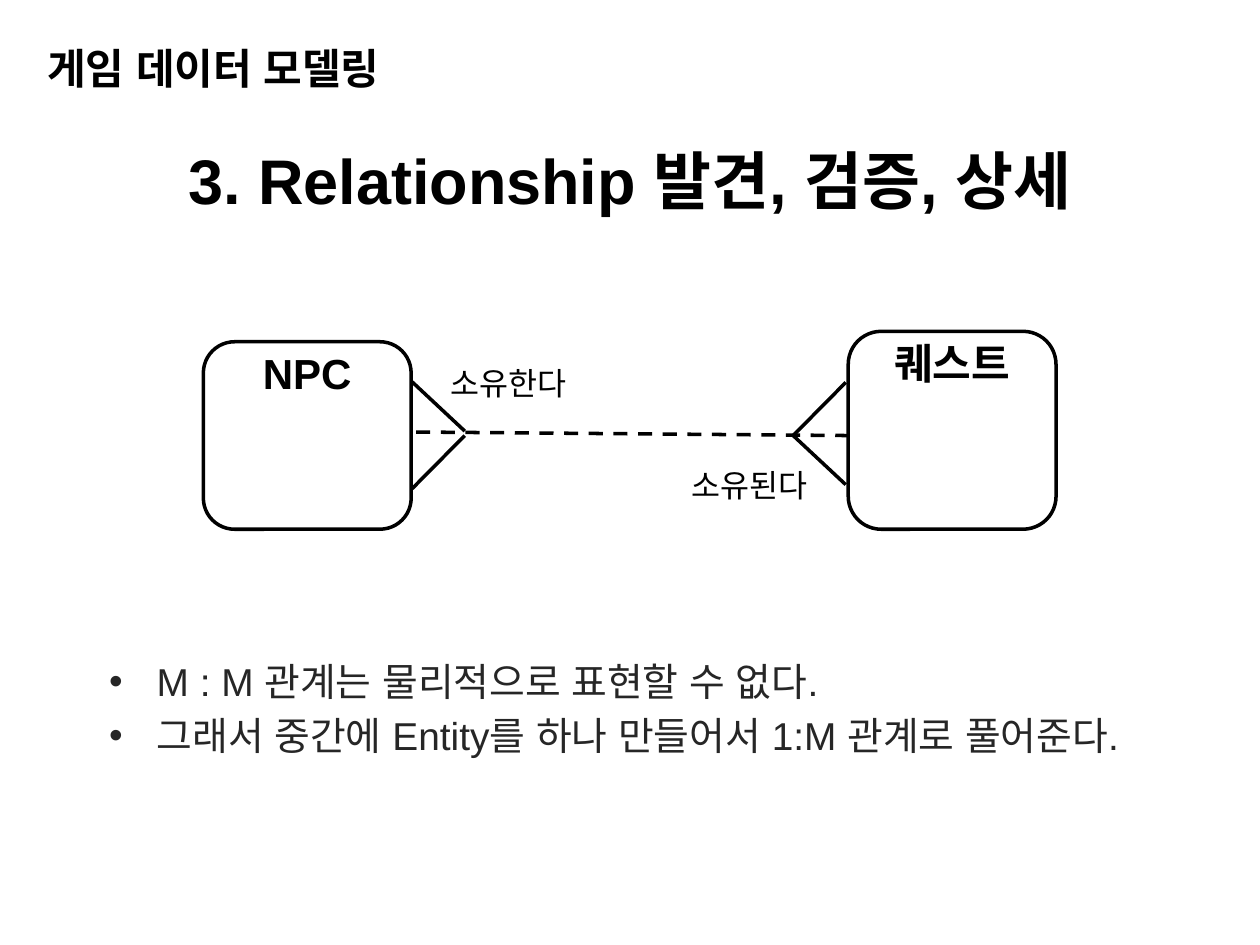
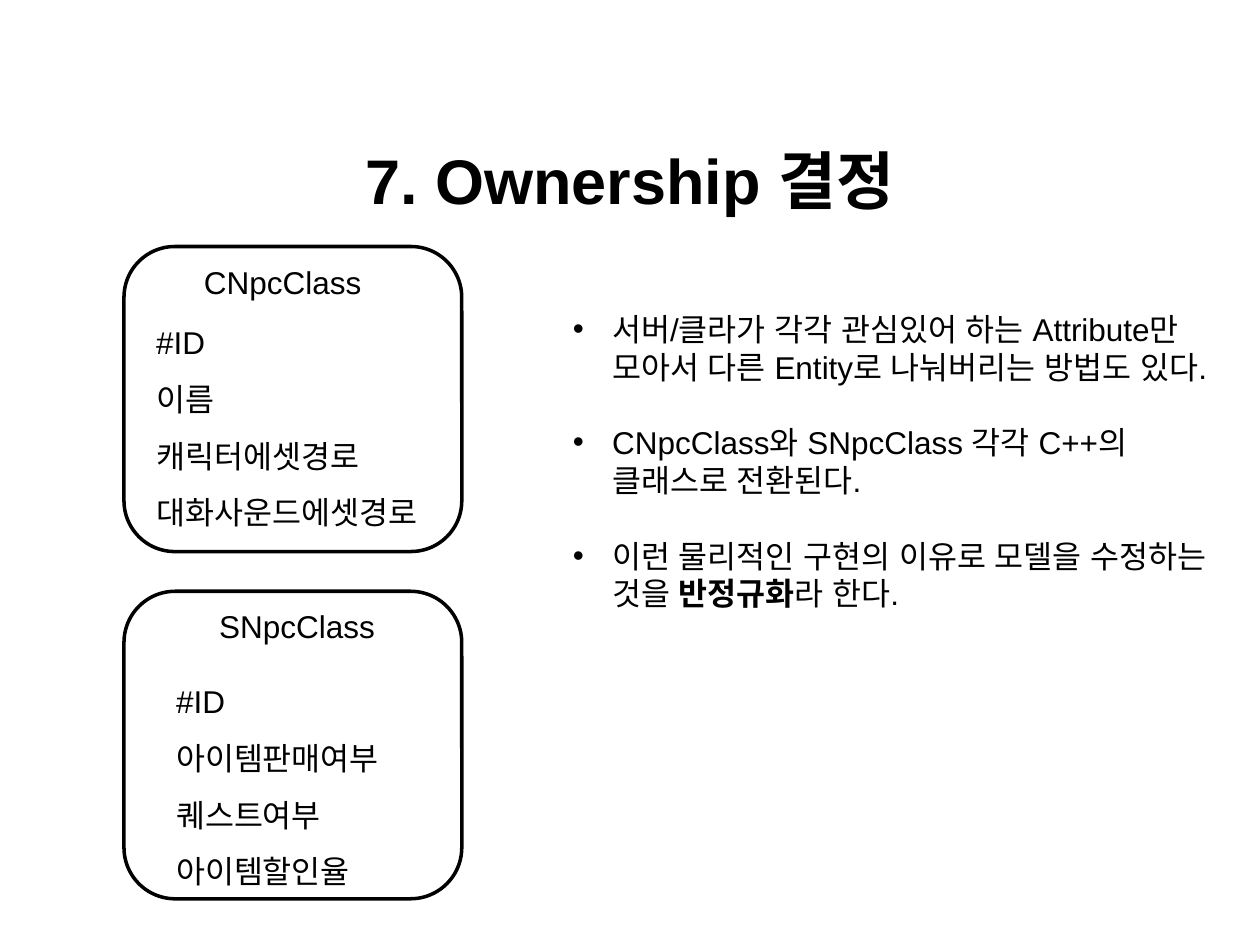
from lxml.etree import SubElement
from pptx import Presentation
from pptx.dml.color import RGBColor
from pptx.enum.dml import MSO_LINE
from pptx.enum.shapes import MSO_CONNECTOR, MSO_SHAPE
from pptx.enum.text import MSO_ANCHOR, PP_ALIGN
from pptx.oxml.ns import qn
from pptx.util import Cm, Pt

# Shared look
FONT = "Arial"
BLACK, DARK_GREY = "000000", "262626"
LINE_WIDTH = Pt(2)
TITLE_BOX = (0, 2.11, 25.4, 3)
TITLE_ONLY = 5


def paint(color_format, hex_color):
    color_format.rgb = RGBColor.from_string(hex_color)


def cm_box(box):
    return [Cm(length) for length in box]


def format_runs(paragraph, size, bold=False, color=BLACK):
    for run in paragraph.runs:
        run.font.size = Pt(size)
        run.font.bold = bold
        paint(run.font.color, color)
        run.font.name = FONT
        # Korean text takes its spaces from this font too
        SubElement(run._r.get_or_add_rPr(), qn("a:ea")).set("typeface", FONT)


def add_text(slide, box, lines, size, bold=False, color=BLACK,
             align=PP_ALIGN.LEFT, spacing=None, gap=0, bullet_indent=None):
    """Write one paragraph per line; gap is the space between paragraphs in points."""
    frame = slide.shapes.add_textbox(*cm_box(box)).text_frame
    frame.word_wrap = True
    for index, line in enumerate(lines):
        paragraph = frame.add_paragraph() if index else frame.paragraphs[0]
        paragraph.text = line
        if bullet_indent:
            add_bullet(paragraph, bullet_indent)
        paragraph.alignment = align
        if spacing:
            paragraph.line_spacing = spacing
        if index and gap:
            paragraph.space_before = Pt(gap)
        format_runs(paragraph, size, bold, color)
    return frame


def add_bullet(paragraph, indent):
    properties = paragraph._p.get_or_add_pPr()
    properties.set("marL", str(Cm(indent)))
    properties.set("indent", str(-Cm(indent)))
    SubElement(properties, qn("a:buFont")).set("typeface", FONT)
    SubElement(properties, qn("a:buChar")).set("char", "•")


def add_rounded_box(slide, box):
    outline = slide.shapes.add_shape(MSO_SHAPE.ROUNDED_RECTANGLE, *cm_box(box))
    outline.shadow.inherit = False
    outline.fill.background()
    paint(outline.line.color, BLACK)
    outline.line.width = LINE_WIDTH


def add_line(slide, start, end, dashed=False):
    line = slide.shapes.add_connector(MSO_CONNECTOR.STRAIGHT, *cm_box(start + end))
    SubElement(line._element.spPr, qn("a:effectLst"))
    paint(line.line.color, BLACK)
    line.line.width = LINE_WIDTH
    if dashed:
        line.line.dash_style = MSO_LINE.DASH


def add_titled_slide(deck, heading):
    slide = deck.slides.add_slide(deck.slide_layouts[TITLE_ONLY])
    title = slide.shapes.title
    title.left, title.top, title.width, title.height = cm_box(TITLE_BOX)
    title.text_frame.text = heading
    title.text_frame.vertical_anchor = MSO_ANCHOR.MIDDLE
    title.text_frame.paragraphs[0].alignment = PP_ALIGN.CENTER
    format_runs(title.text_frame.paragraphs[0], 36, bold=True)
    return slide


# Relationship diagram
def add_entity(slide, box, name):
    left, top, width, _ = box
    add_rounded_box(slide, box)
    add_text(slide, (left, top, width, 1.27), [name], 24, bold=True,
             align=PP_ALIGN.CENTER)


def add_crow_foot(slide, edge_x, tip_x, upper, lower):
    """Draw both toes; upper and lower give the heights at the edge and at the tip."""
    for edge_y, tip_y in (upper, lower):
        add_line(slide, (edge_x, edge_y), (tip_x, tip_y))


def add_relationship(slide, box):
    left, top, width, height = box
    entity_width, foot = 4.19, 1.06
    npc_right, quest_left = left + entity_width, left + width - entity_width
    axis = top + 2.1
    add_entity(slide, (left, top + 0.21, entity_width, height - 0.21), "NPC")
    add_entity(slide, (quest_left, top, entity_width, height), "퀘스트")
    add_crow_foot(slide, npc_right + 0.02, npc_right + 0.02 + foot,
                  (axis - 1.08, axis - 0.09), (axis + 1.07, axis))
    add_crow_foot(slide, quest_left - 0.05, quest_left - 0.05 - foot,
                  (axis - 1.07, axis), (axis + 0.99, axis))
    add_line(slide, (npc_right + 0.1, axis - 0.07), (quest_left, axis), dashed=True)
    add_text(slide, (npc_right + 0.55, top + 0.53, 3.68, 1.02), ["소유한다"], 18)
    add_text(slide, (quest_left - 3.41, top + 2.59, 3.2, 1.02), ["소유된다"], 18)


def build_relationship_slide(deck):
    slide = add_titled_slide(deck, "3. Relationship 발견, 검증, 상세")
    add_text(slide, (0.7, 0.73, 11.6, 1.4), ["게임 데이터 모델링"], 24, bold=True)
    add_relationship(slide, (4.1, 6.68, 17.19, 3.99))
    add_text(slide, (1.95, 13.13, 21.74, 3.2),
             ["M : M 관계는 물리적으로 표현할 수 없다.",
              "그래서 중간에 Entity를 하나 만들어서 1:M 관계로 풀어준다."],
             22.2, color=DARK_GREY, gap=4.4, bullet_indent=0.96)


# Class cards
def add_class_card(slide, box, name, attributes, name_shift, list_offset):
    left, top = box[:2]
    add_rounded_box(slide, box)
    add_text(slide, (left + name_shift, top + 0.2, 6.4, 1.02), [name], 18,
             align=PP_ALIGN.CENTER)
    shift, drop = list_offset
    add_text(slide, (left + shift, top + drop, 6.4, 4.88), attributes, 18, spacing=1.5)


def add_denormalization_notes(slide, box):
    term = "반정규화"
    before, after = "이런 물리적인 구현의 이유로 모델을 수정하는 것을 ", "라 한다."
    frame = add_text(
        slide, box,
        ["서버/클라가 각각 관심있어 하는 Attribute만 모아서 다른 Entity로 나눠버리는 방법도 있다.",
         "CNpcClass와 SNpcClass 각각 C++의 클래스로 전환된다."],
        18, gap=21.6, bullet_indent=0.79)
    conclusion = frame.add_paragraph()
    add_bullet(conclusion, 0.79)
    conclusion.space_before = Pt(21.6)
    for words in (before, term, after):
        conclusion.add_run().text = words
    format_runs(conclusion, 18)
    conclusion.runs[1].font.bold = True


def build_ownership_slide(deck):
    slide = add_titled_slide(deck, "7. Ownership 결정")
    add_class_card(slide, (2.5, 4.97, 6.81, 6.15), "CNpcClass",
                   ["#ID", "이름", "캐릭터에셋경로", "대화사운드에셋경로"],
                   name_shift=0, list_offset=(0.4, 1.04))
    add_class_card(slide, (2.5, 11.92, 6.81, 6.2), "SNpcClass",
                   ["#ID", "아이템판매여부", "퀘스트여부", "아이템할인율"],
                   name_shift=0.29, list_offset=(0.8, 1.33))
    add_denormalization_notes(slide, (11.3, 6.12, 13.38, 7.19))


def main():
    deck = Presentation()
    deck.slide_width, deck.slide_height = Cm(25.4), Cm(19.05)
    build_relationship_slide(deck)
    build_ownership_slide(deck)
    deck.save("out.pptx")


if __name__ == "__main__":
    main()
